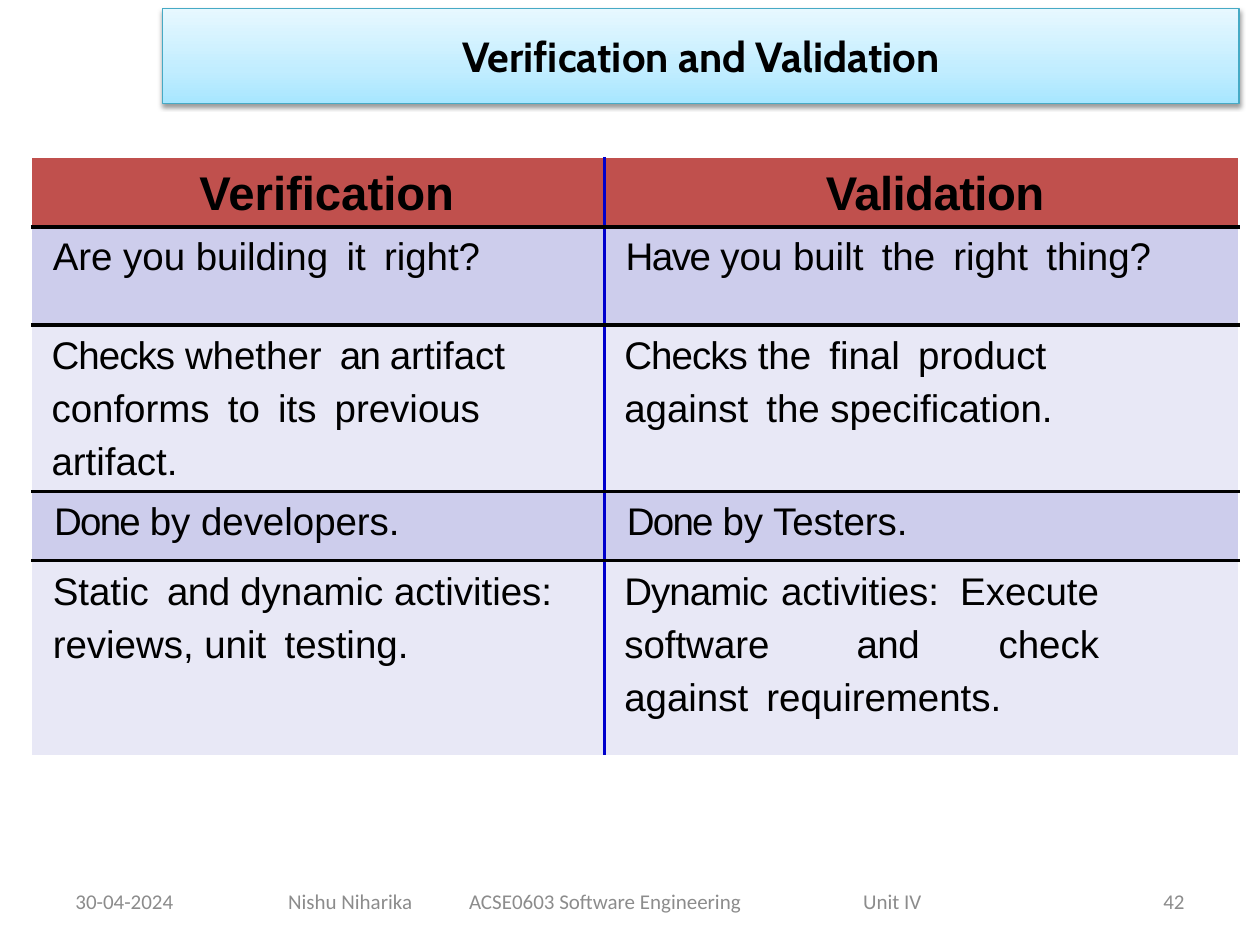
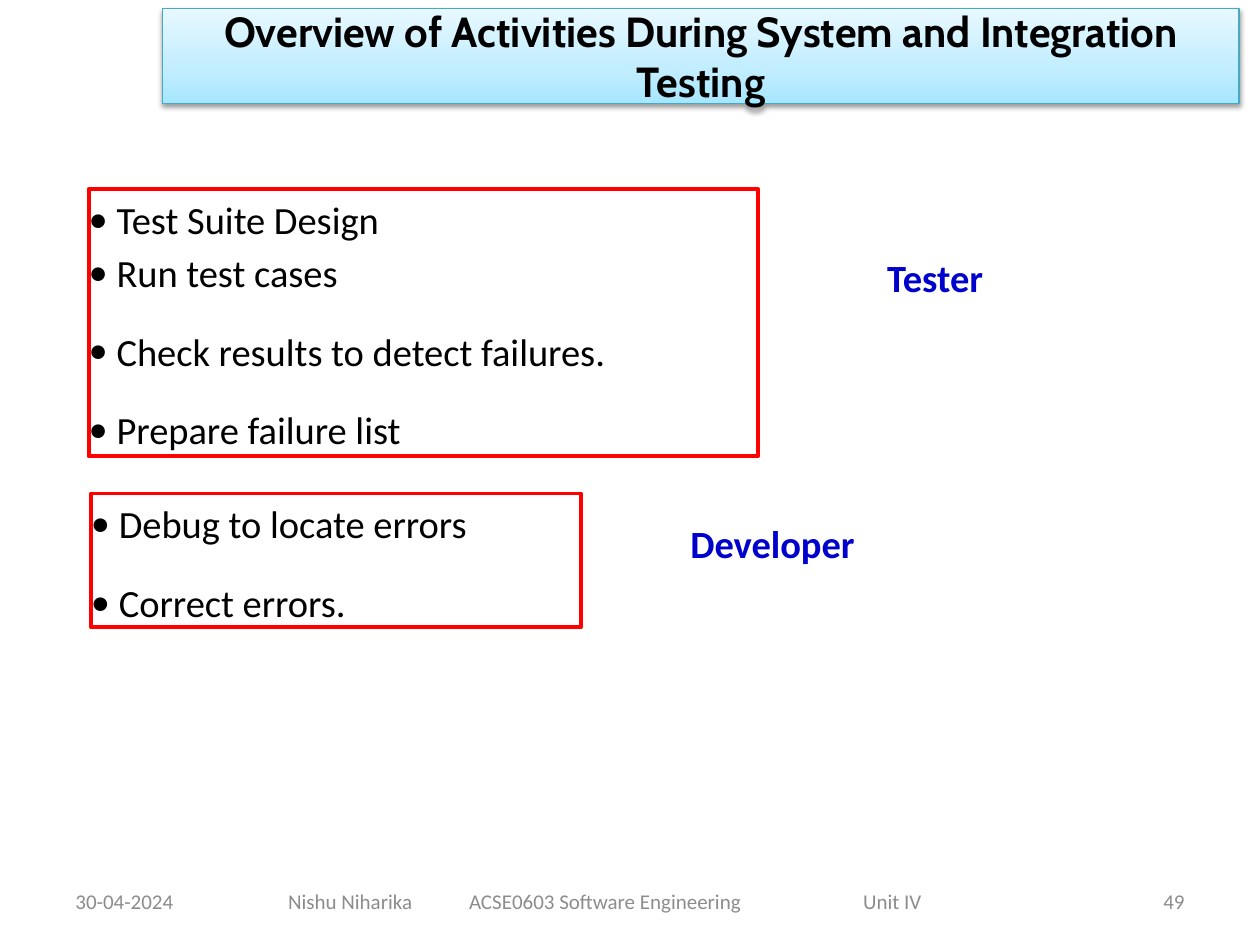
from pptx import Presentation
from pptx.dml.color import RGBColor
from pptx.enum import shapes, text
from pptx.oxml import parse_xml
from pptx.oxml.ns import nsdecls
from pptx.util import Pt

COLORS = {
    "black": "000000", "grey": "8C8C8C", "title_line": "46AAC5",
    "title_low": "A7E6FF", "title_mid": "C1EDFF", "title_high": "E7F8FF",
    "header": "C0504D", "band_dark": "CDCDEC", "band_light": "E8E8F6",
    "white": "FFFFFF", "blue": "0000CC", "red": "FF0000",
}
WIDE_SPACE = 4.3
NS = nsdecls("a")


def add_span(para, words, size, font="Calibri", color="black", bold=False, spacing=0):
    span = para.add_run()
    span.text = words
    span.font.size = Pt(size)
    span.font.name = font
    span.font.bold = bold
    span.font.color.rgb = RGBColor.from_string(COLORS[color])
    if spacing:
        span._r.get_or_add_rPr().set("spc", str(round(spacing * 100)))


def place(box, left, top, width, height, inset=(0, 0)):
    box.left, box.top, box.width, box.height = Pt(left), Pt(top), Pt(width), Pt(height)
    frame = box.text_frame
    frame.word_wrap = True
    frame.auto_size = text.MSO_AUTO_SIZE.NONE
    frame.margin_left = frame.margin_right = Pt(inset[0])
    frame.margin_top = frame.margin_bottom = Pt(inset[1])
    return frame


deck = Presentation()
deck.slide_width, deck.slide_height = Pt(720), Pt(540)

pages = []
for layout, heading, number in [
    (5, "Verification and Validation", "42"),
    (3, "Overview of Activities During System and Integration Testing", "49"),
]:
    page = deck.slides.add_slide(deck.slide_layouts[layout])
    pages.append(page)

    title = page.shapes.title
    frame = place(title, 93, 5, 615, 54, (7.2, 3.6))
    frame.vertical_anchor = text.MSO_ANCHOR.MIDDLE
    para = frame.paragraphs[0]
    para.alignment = text.PP_ALIGN.CENTER
    add_span(para, heading, 24, "Cabin", bold=True)
    title.line.color.rgb = RGBColor.from_string(COLORS["title_line"])
    title.line.width = Pt(0.75)
    stops = "".join(
        f'<a:gs pos="{position * 1000}"><a:srgbClr val="{COLORS[name]}"/></a:gs>'
        for position, name in [(0, "title_low"), (35, "title_mid"), (100, "title_high")]
    )
    title.line._ln.addprevious(parse_xml(
        f'<a:gradFill {NS} rotWithShape="1"><a:gsLst>{stops}</a:gsLst>'
        '<a:lin ang="16200000" scaled="0"/></a:gradFill>'))
    title.line._ln.addnext(parse_xml(
        f'<a:effectLst {NS}><a:outerShdw blurRad="{Pt(3.1)}" dist="{Pt(1.6)}" dir="5400000" '
        f'rotWithShape="0"><a:srgbClr val="{COLORS["black"]}"><a:alpha val="38000"/>'
        '</a:srgbClr></a:outerShdw></a:effectLst>'))

    for words, left, width, inset, align in [
        ("30-04-2024", 36, 168, 7.2, text.PP_ALIGN.LEFT),
        ("Nishu Niharika\tACSE0603 Software Engineering\tUnit IV", 150, 408, 14.6, text.PP_ALIGN.LEFT),
        (number, 516, 168, 7.2, text.PP_ALIGN.RIGHT),
    ]:
        box = page.shapes.add_textbox(0, 0, 0, 0)
        frame = place(box, left, 500.5, width, 28.8, (inset, 3.6))
        frame.vertical_anchor = text.MSO_ANCHOR.MIDDLE
        para = frame.paragraphs[0]
        para.alignment = align
        if "\t" in words:
            para._p.get_or_add_pPr().append(parse_xml(
                f'<a:tabLst {NS}><a:tab pos="{Pt(103.4)}" algn="l"/>'
                f'<a:tab pos="{Pt(328.6)}" algn="l"/></a:tabLst>'))
        add_span(para, words, 12, color="grey")

comparison_page, activities_page = pages

comparison = [
    [[("Verification", 0)], [("Validation", -0.3)]],
    [[("Are you building_it_right?", 0)],
     [("Have ", -0.8), ("you built_the_right_thing?", 0)]],
    [[("Checks ", -0.5), ("whether_", 0), ("an ", -1),
      ("artifact conforms_to_its_previous artifact.", 0)],
     [("Checks ", -0.5), ("the_final_product against_the specification.", 0)]],
    [[("Done ", -1), ("by developers.", 0)], [("Done ", -1), ("by Testers.", 0)]],
    [[("Static_", 0), ("and ", -0.3), ("dynamic activities: reviews, unit_testing.", 0)],
     [("Dynamic ", -0.5), ("activities:_Execute_software_", 0), ("and ", -0.3),
      ("check_against_requirements.", 0)]],
]
row_heights = [39.6, 56.2, 95, 39.6, 111.6]
row_fills = ["header", "band_dark", "band_light", "band_dark", "band_light"]
row_indents = [(96, 126.7), (12.2, 12.2), (11.5, 11.5), (13, 13), (12.2, 11.5)]
row_spacings = [1.2, 1.21, 1.23, 1.21, 1.23]
last_row = len(comparison) - 1

table = comparison_page.shapes.add_table(5, 2, Pt(18), Pt(90), Pt(690), Pt(342)).table
table.first_row = table.horz_banding = False
for column, width in zip(table.columns, (327.3, 362.7)):
    column.width = Pt(width)

for row, cells in enumerate(comparison):
    table.rows[row].height = Pt(row_heights[row])
    for column, spans in enumerate(cells):
        cell = table.cell(row, column)
        cell.margin_left = Pt(row_indents[row][column])
        cell.margin_top = cell.margin_bottom = 0
        cell.margin_right = Pt(80 if column == 1 and row in (2, 4) else 0)
        para = cell.text_frame.paragraphs[0]
        para.line_spacing = row_spacings[row]
        if (row, column) == (last_row, 1):
            para.alignment = text.PP_ALIGN.JUSTIFY
        size = 22 if row else 27
        for words, spacing in spans:
            for index, part in enumerate(words.split("_")):
                if index:
                    add_span(para, " ", size, "Arial", spacing=WIDE_SPACE)
                if part:
                    add_span(para, part, size, "Arial", bold=row == 0, spacing=spacing)
        borders = [
            ("lnL", "blue" if column else "white"),
            ("lnR", "white" if column else "blue"),
            ("lnT", "black" if row else "white"),
            ("lnB", "black" if row < last_row else "white"),
        ]
        properties = cell._tc.get_or_add_tcPr()
        for edge, color in borders:
            thickness = Pt(1 if color == "white" else 2.25)
            properties.append(parse_xml(
                f'<a:{edge} {NS} w="{thickness}"><a:solidFill>'
                f'<a:srgbClr val="{COLORS[color]}"/></a:solidFill></a:{edge}>'))
        cell.fill.solid()
        cell.fill.fore_color.rgb = RGBColor.from_string(COLORS[row_fills[row]])

task_lists = [
    (1, (50.7, 108, 382.3, 152.8),
     [("Test Suite Design", 0), ("Run test cases", 0),
      ("Check results to detect failures.", 14.7), ("Prepare failure list", 14.6)]),
    (2, (52, 282, 280, 76.4), [("Debug to locate errors", 0), ("Correct errors.", 14.6)]),
]
for holder, bounds, tasks in task_lists:
    box = activities_page.placeholders[holder]
    frame = place(box, *bounds)
    frame.vertical_anchor = text.MSO_ANCHOR.TOP
    box.fill.background()
    box.line.color.rgb = RGBColor.from_string(COLORS["red"])
    box.line.width = Pt(2.25)
    for index, (words, gap) in enumerate(tasks):
        para = frame.add_paragraph() if index else frame.paragraphs[0]
        layout = para._p.get_or_add_pPr()
        layout.set("marL", str(Pt(15.9)))
        layout.set("indent", str(-Pt(15.9)))
        layout.append(parse_xml(f'<a:buFont {NS} typeface="Calibri"/>'))
        layout.append(parse_xml(f'<a:buChar {NS} char="•"/>'))
        para.line_spacing = 1.15
        para.space_before = Pt(gap)
        add_span(para, words, 22)

for role, left, top, width in [("Tester", 507, 142, 64), ("Developer", 394.5, 294, 106)]:
    box = activities_page.shapes.add_textbox(0, 0, 0, 0)
    para = place(box, left, top, width, 30).paragraphs[0]
    para.line_spacing = 1.13
    add_span(para, role, 22, color="blue", bold=True)

deck.save("out.pptx")
